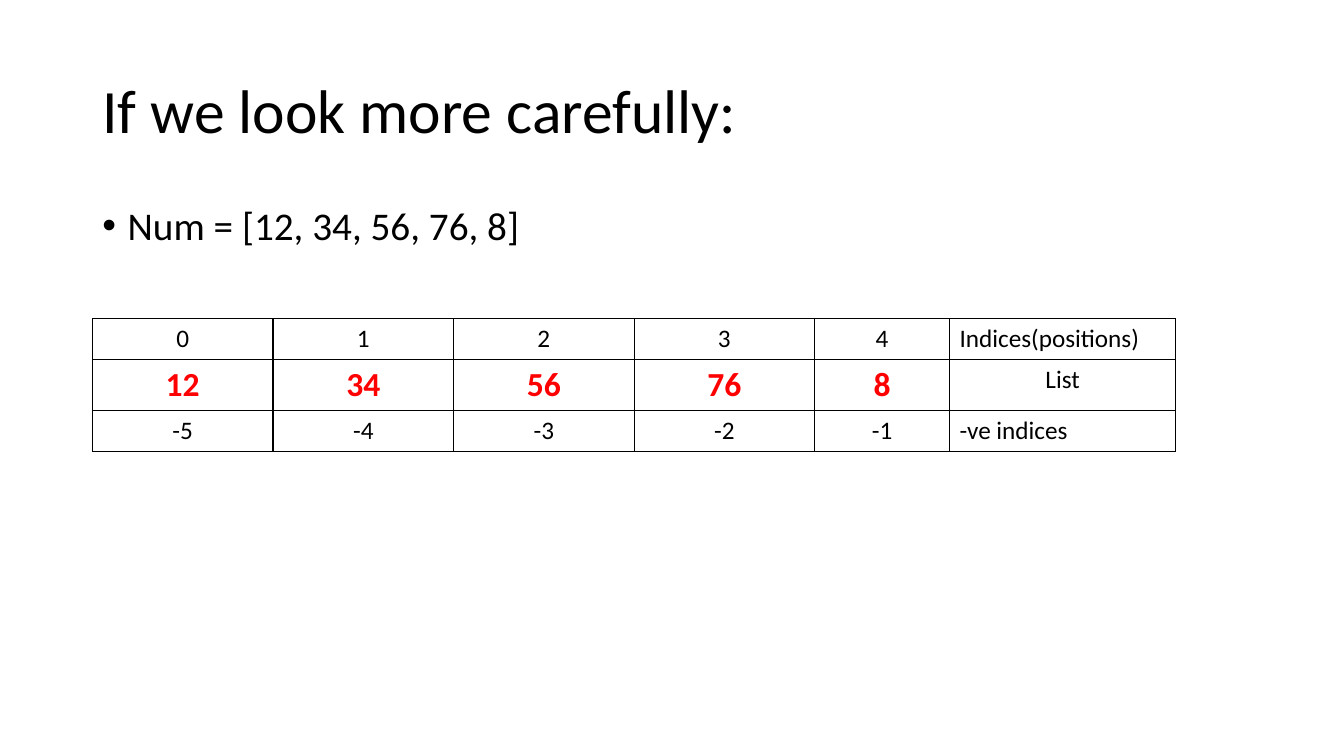
from lxml.etree import SubElement as Sub
from pptx import Presentation
from pptx.dml.color import RGBColor as Rgb
from pptx.enum.text import MSO_ANCHOR as Anchor, MSO_AUTO_SIZE as Auto, PP_ALIGN as Align
from pptx.oxml.ns import qn
from pptx.util import Cm, Pt

COLORS = {"ink": "000000", "item": "FF0000"}
FONT = "Calibri"
NUMS = [12, 34, 56, 76, 8]


def add_run(para, text, size, color="ink", bold=False):
    """Add one formatted run to a paragraph."""
    run = para.add_run()
    run.text = text
    font = run.font
    font.name, font.size, font.bold = FONT, Pt(size), bold
    font.color.rgb = Rgb.from_string(COLORS[color])


def place(shape, box):
    """Move a shape to a box of left, top, width, height in cm."""
    shape.left, shape.top, shape.width, shape.height = map(Cm, box)


def add_title(slide, box, text):
    """Fill the title placeholder, left aligned and centred in height."""
    title = slide.shapes.title
    place(title, box)
    frame = title.text_frame
    frame.auto_size = Auto.NONE
    frame.vertical_anchor = Anchor.MIDDLE
    para = frame.paragraphs[0]
    para.alignment, para.line_spacing = Align.LEFT, 0.9
    add_run(para, text, 44)


def add_body(slide, box, text):
    """Add the bulleted line that defines the list."""
    frame = slide.shapes.add_textbox(*map(Cm, box)).text_frame
    frame.word_wrap = True
    para = frame.paragraphs[0]
    para.line_spacing, para.space_before = 0.9, Pt(10)
    props = para._p.get_or_add_pPr()
    props.set("marL", str(Cm(0.64)))
    props.set("indent", str(-Cm(0.64)))
    Sub(props, qn("a:buFont"), typeface="Arial")
    Sub(props, qn("a:buChar"), char="•")
    add_run(para, text, 28)


def add_border(cell):
    """Draw a thin line on all four sides of a cell."""
    props = cell._tc.get_or_add_tcPr()
    for side in ("lnL", "lnR", "lnT", "lnB"):
        line = Sub(props, qn(f"a:{side}"), w=str(Pt(1)))
        fill = Sub(line, qn("a:solidFill"))
        Sub(fill, qn("a:srgbClr"), val=COLORS["ink"])


def add_grid(slide, box):
    """Add the table of indices, list items and negative indices."""
    count = len(NUMS)
    rows = [
        [*range(count), "Indices(positions)"],
        [*NUMS, "List"],
        [*range(-count, 0), "-ve indices"],
    ]
    table = slide.shapes.add_table(len(rows), count + 1, *map(Cm, box)).table
    table.first_row = table.horz_banding = False
    for col, width in zip(table.columns, [4.55] * 4 + [3.4, 5.7]):
        col.width = Cm(width)
    for row, height in zip(table.rows, [1.03, 1.29, 1.03]):
        row.height = Cm(height)
    for r, row in enumerate(rows):
        for c, value in enumerate(row):
            cell = table.cell(r, c)
            add_border(cell)
            cell.fill.background()
            para = cell.text_frame.paragraphs[0]
            label, middle = c == count, r == 1
            para.alignment = Align.LEFT if label and not middle else Align.CENTER
            if middle and not label:
                add_run(para, str(value), 24, "item", True)
            else:
                add_run(para, str(value), 18)


def build():
    """Build the slide and save it."""
    deck = Presentation()
    deck.slide_width, deck.slide_height = Cm(33.87), Cm(19.05)
    slide = deck.slides.add_slide(deck.slide_layouts[5])
    add_title(slide, (2.33, 1.01, 29.21, 3.68), "If we look more carefully:")
    add_body(slide, (2.33, 5.07, 29.21, 12.09), f"Num = {NUMS}")
    add_grid(slide, (2.33, 8.03, 27.3, 3.35))
    deck.save("out.pptx")


build()
